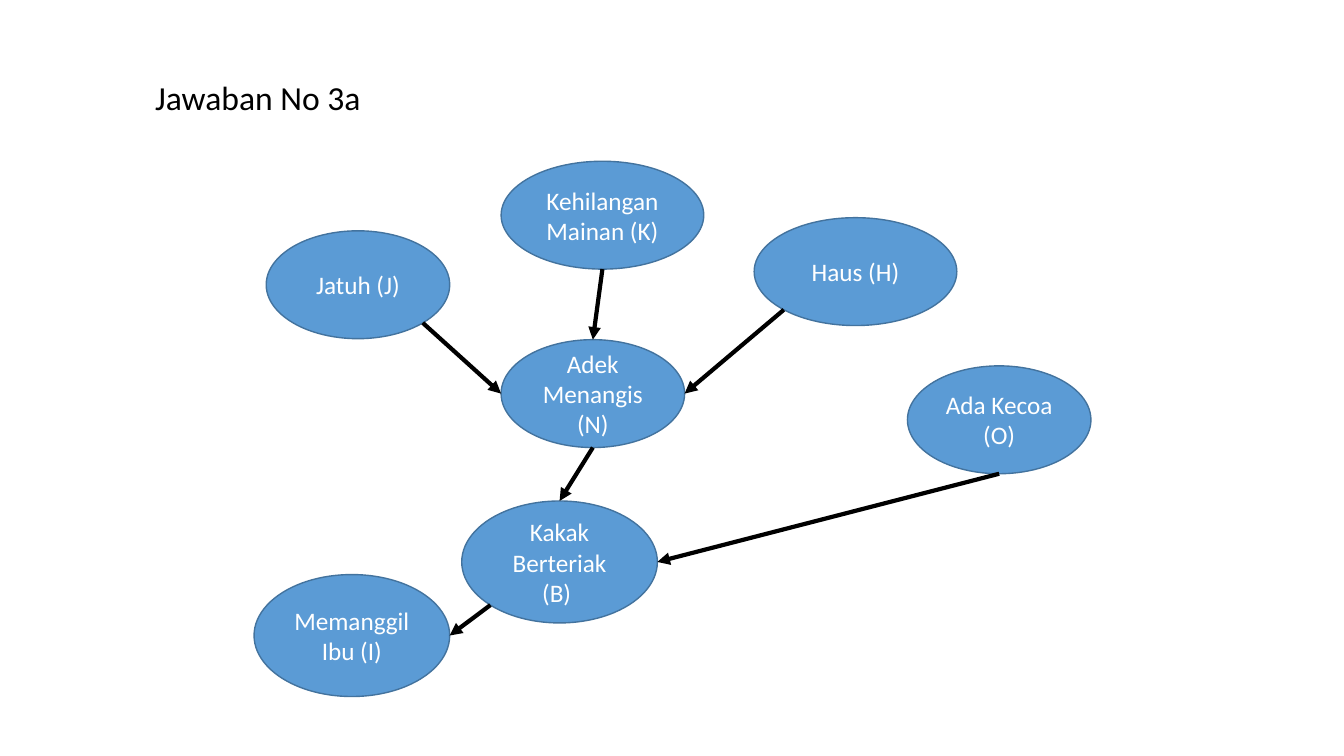
from math import cos, pi, sin

from lxml.etree import SubElement
from pptx import Presentation
from pptx.dml.color import RGBColor as Rgb
from pptx.enum.shapes import MSO_CONNECTOR as Link, MSO_SHAPE as Kind
from pptx.enum.text import MSO_ANCHOR as Anchor, PP_ALIGN as Align
from pptx.oxml.ns import qn
from pptx.util import Inches, Pt

TITLE = "Jawaban No 3a"

# Ellipse sizes: width, height
SMALL, WIDE, TALL = (1.82, 1.07), (2.01, 1.07), (1.94, 1.21)

# Key: (left, top), size, paragraphs
NODES = {
    "N": ((4.97, 3.37), SMALL, ["Adek", "Menangis (N)"]),
    "J": ((2.64, 2.29), SMALL, ["Jatuh (J)"]),
    "K": ((4.97, 1.6), WIDE, ["Kehilangan Mainan (K)"]),
    "H": ((7.48, 2.16), WIDE, ["Haus (H)"]),
    "B": ((4.58, 4.97), TALL, ["Kakak Berteriak (B) "]),
    "O": ((9, 3.63), SMALL, ["Ada Kecoa (O)"]),
    "I": ((2.52, 5.7), TALL, ["Memanggil Ibu (I)"]),
}

# Connection sites of an ellipse, counted counter-clockwise from the top
TOP, LEFT, LOW_LEFT, BOTTOM, LOW_RIGHT, RIGHT = 0, 2, 3, 4, 5, 6

# Cause, its site, effect, its site
EDGES = [
    ("J", LOW_RIGHT, "N", LEFT),
    ("K", BOTTOM, "N", TOP),
    ("H", LOW_LEFT, "N", RIGHT),
    ("N", BOTTOM, "B", TOP),
    ("O", BOTTOM, "B", RIGHT),
    ("B", LOW_LEFT, "I", RIGHT),
]

THEME = {
    "fill": Rgb.from_string("5B9BD5"),
    "edge": Rgb.from_string("43739E"),
    "ink": Rgb.from_string("000000"),
    "label": Rgb.from_string("FFFFFF"),
    "font": "Calibri",
    "title_size": Pt(24),
    "node_size": Pt(18),
    "edge_width": Pt(1),
    "arrow_width": Pt(3),
}


def style(item, values):
    """Set each attribute of item from a dict."""
    for name, value in values.items():
        setattr(item, name, value)


def write(frame, lines, size, color, align):
    """Fill a text frame with one paragraph per line."""
    frame.word_wrap = True
    for i, line in enumerate(lines):
        para = frame.add_paragraph() if i else frame.paragraphs[0]
        para.alignment = align
        run = para.add_run()
        run.text = line
        style(run.font, {"name": THEME["font"], "size": size})
        run.font.color.rgb = color


def stroke(line, color, width):
    """Give a line its colour and width."""
    line.color.rgb = color
    line.width = width


def add_node(slide, spot, size, lines):
    """Draw one labelled ellipse."""
    node = slide.shapes.add_shape(Kind.OVAL, *map(Inches, spot + size))
    node.shadow.inherit = False
    node.fill.solid()
    node.fill.fore_color.rgb = THEME["fill"]
    stroke(node.line, THEME["edge"], THEME["edge_width"])
    node.text_frame.vertical_anchor = Anchor.MIDDLE
    write(node.text_frame, lines, THEME["node_size"], THEME["label"],
          Align.CENTER)
    return node


def site_at(node, site):
    """Return the point of a connection site on an ellipse."""
    turn = pi / 2 + site * pi / 4
    x = node.left + node.width / 2 * (1 + cos(turn))
    y = node.top + node.height / 2 * (1 - sin(turn))
    return round(x), round(y)


def add_arrow(slide, start, out, end, into):
    """Draw an arrow glued to a site on each of two ellipses."""
    arrow = slide.shapes.add_connector(
        Link.STRAIGHT, *site_at(start, out), *site_at(end, into))
    stroke(arrow.line, THEME["ink"], THEME["arrow_width"])
    SubElement(arrow.line._get_or_add_ln(), qn("a:tailEnd"), type="triangle")
    SubElement(arrow._element.spPr, qn("a:effectLst"))
    glue = arrow._element.find(".//" + qn("p:cNvCxnSpPr"))
    for tag, node, site in (("a:stCxn", start, out), ("a:endCxn", end, into)):
        SubElement(glue, qn(tag), id=str(node.shape_id), idx=str(site))


def main():
    """Build the slide and save it."""
    deck = Presentation()
    style(deck, {"slide_width": Inches(13.33), "slide_height": Inches(7.5)})
    slide = deck.slides.add_slide(deck.slide_layouts[6])
    title = slide.shapes.add_textbox(*map(Inches, (1.44, 0.71, 8.25, 0.5)))
    write(title.text_frame, [TITLE], THEME["title_size"], THEME["ink"],
          Align.LEFT)
    nodes = {key: add_node(slide, *node) for key, node in NODES.items()}
    for start, out, end, into in EDGES:
        add_arrow(slide, nodes[start], out, nodes[end], into)
    deck.save("out.pptx")


main()
